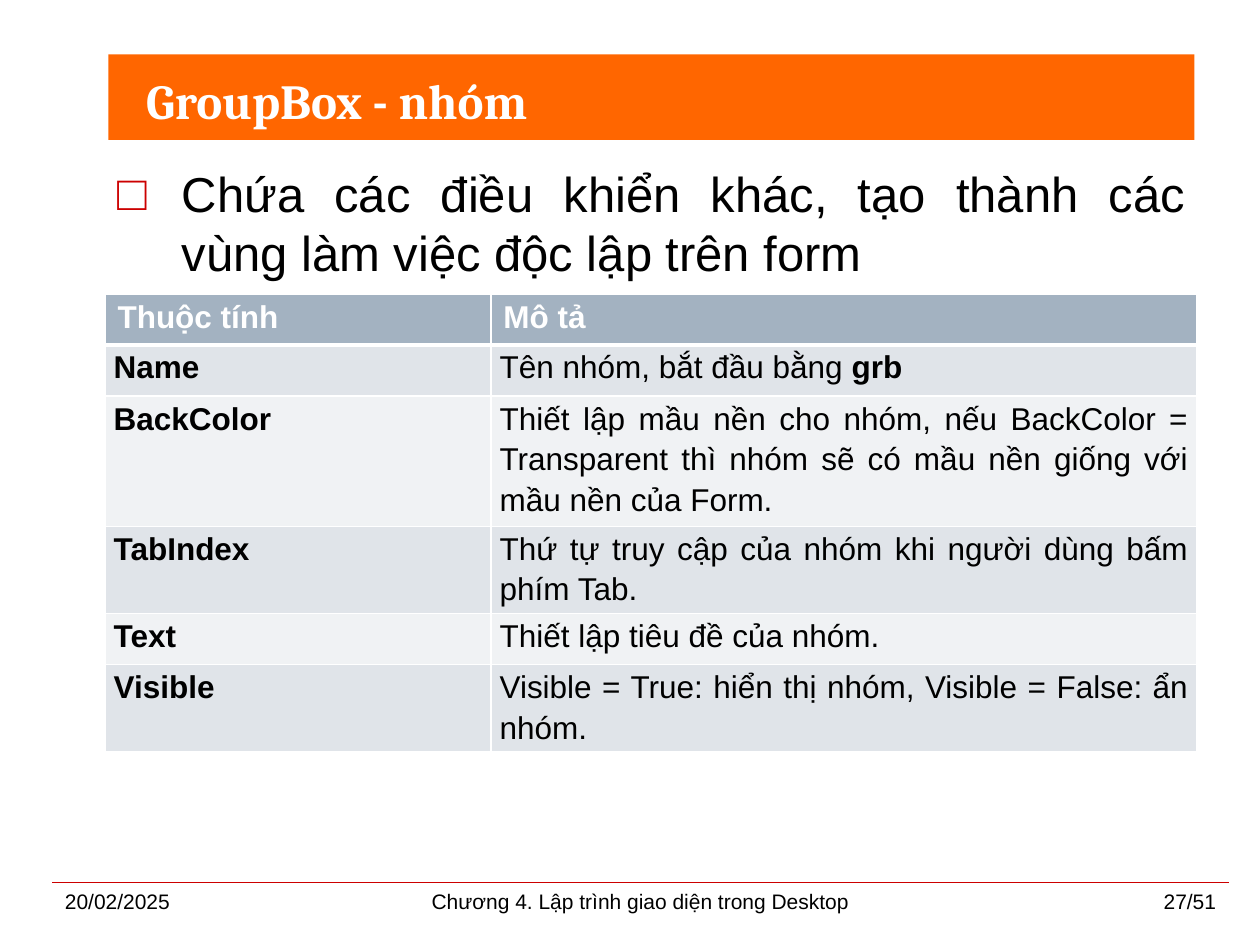
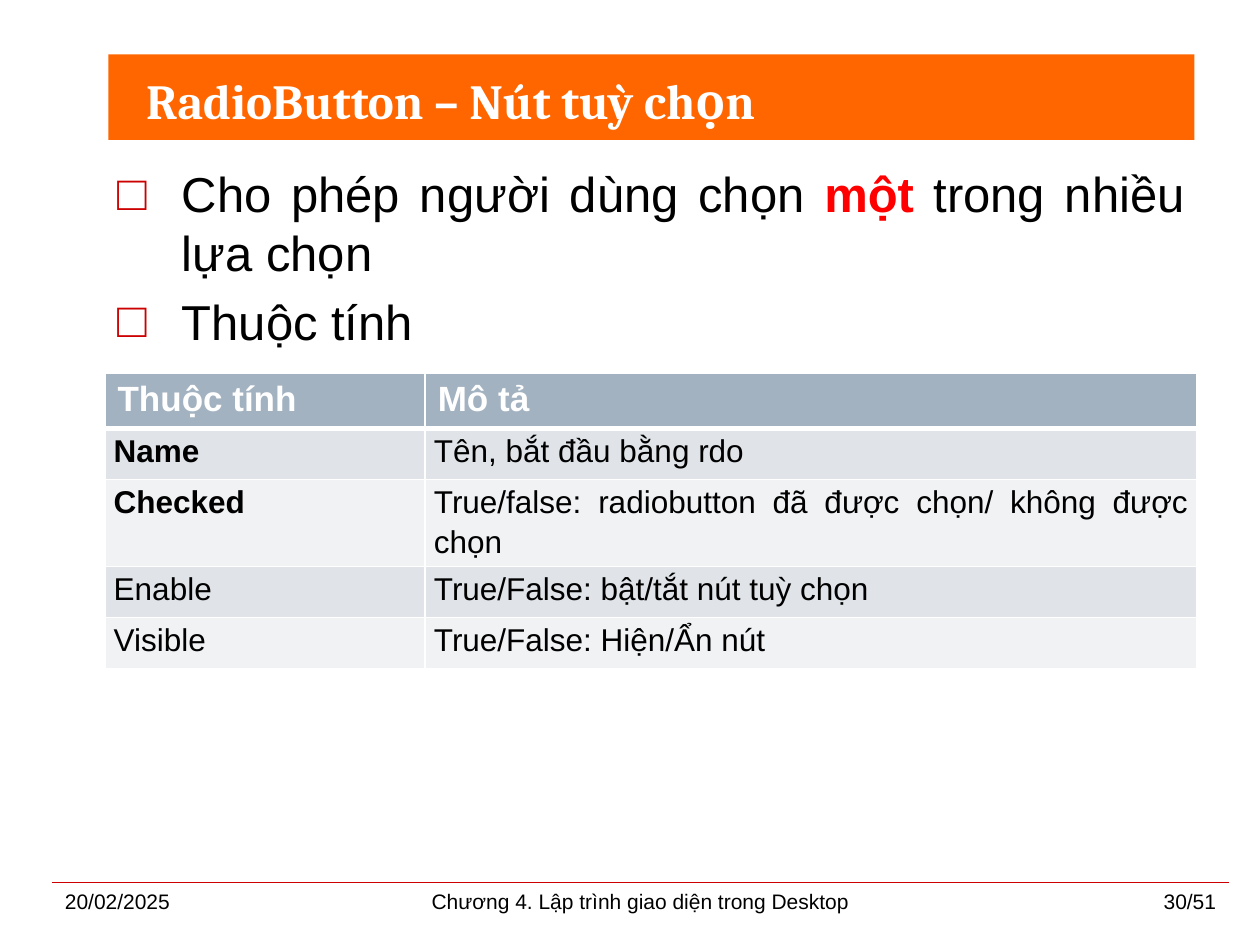
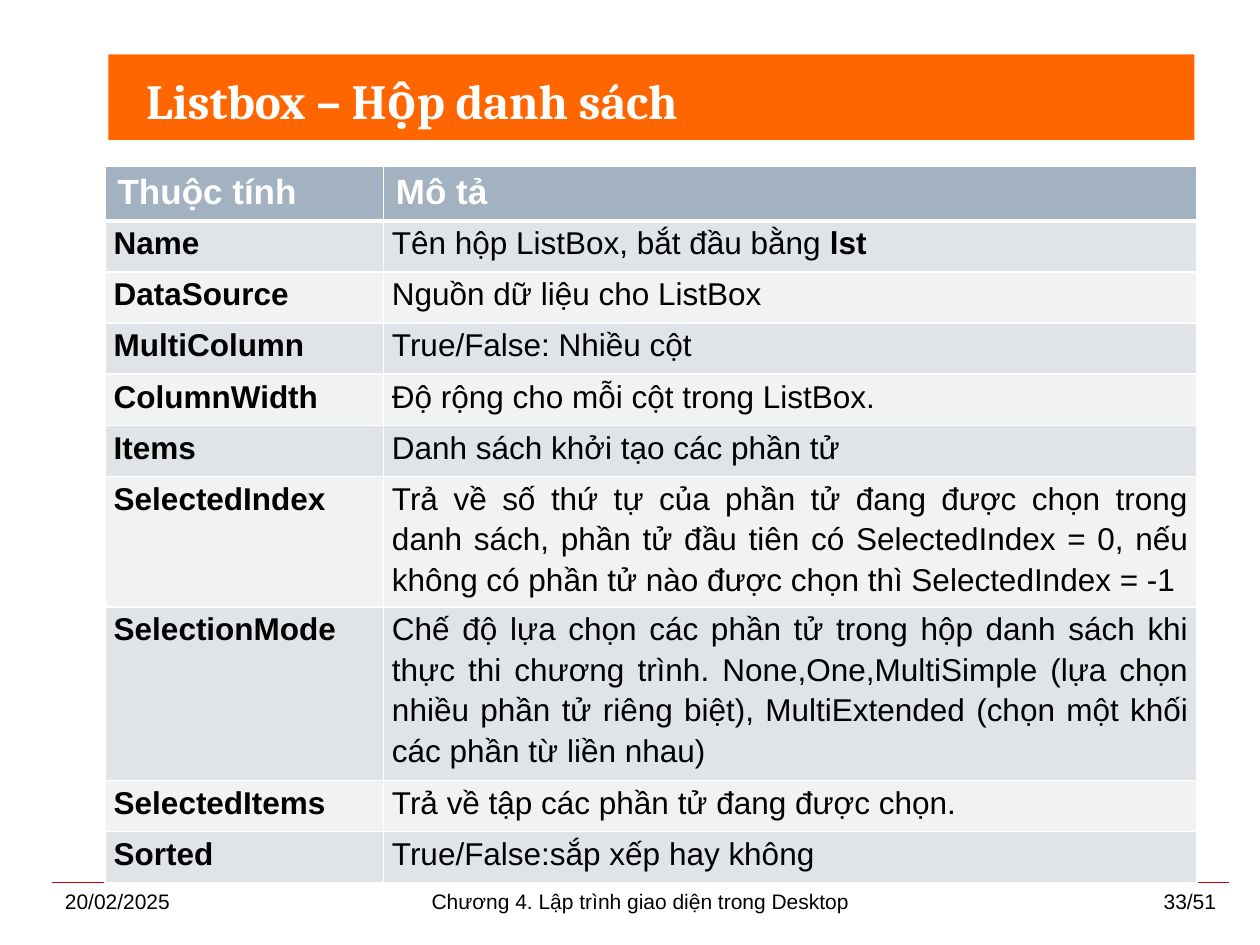
from lxml import etree
from pptx import Presentation
from pptx.dml.color import RGBColor
from pptx.enum.shapes import MSO_CONNECTOR, MSO_SHAPE
from pptx.enum.text import MSO_ANCHOR, PP_ALIGN
from pptx.oxml.ns import qn
from pptx.util import Pt

LEFT, CENTER, RIGHT = PP_ALIGN.LEFT, PP_ALIGN.CENTER, PP_ALIGN.RIGHT
JUSTIFY = PP_ALIGN.JUSTIFY
TOP, MIDDLE = MSO_ANCHOR.TOP, MSO_ANCHOR.MIDDLE
RECTANGLE, STRAIGHT = MSO_SHAPE.RECTANGLE, MSO_CONNECTOR.STRAIGHT

BLACK, WHITE, RED = "000000", "FFFFFF", "FF0000"
ORANGE, DARK_RED = "FF6600", "CC0000"
HEADER_FILL, ODD_FILL, EVEN_FILL = "A3B2C1", "E0E4E9", "F0F2F4"
BODY_FONT, TITLE_FONT = "Arial", "Cambria"

CONTENT_LEFT, CONTENT_WIDTH = 60, 624
FOOTER_LEFT, FOOTER_RIGHT, FOOTER_TOP = 30, 702, 504
ROW_HEIGHT = 29.2
BULLET_INDENT = 36.75
DATE = "20/02/2025"
CHAPTER = "Chương 4. Lập trình giao diện trong Desktop"
TABLE_HEADER = ("Thuộc tính", "Mô tả")

GROUPBOX_ROWS = [
    ("Name", [("Tên nhóm, bắt đầu bằng ", False), ("grb", True)]),
    ("BackColor", "Thiết lập mầu nền cho nhóm, nếu BackColor = Transparent "
                  "thì nhóm sẽ có mầu nền giống với mầu nền của Form."),
    ("TabIndex", "Thứ tự truy cập của nhóm khi người dùng bấm phím Tab."),
    ("Text", "Thiết lập tiêu đề của nhóm."),
    ("Visible", "Visible = True: hiển thị nhóm, Visible = False: ẩn nhóm."),
]
RADIOBUTTON_ROWS = [
    ("Name", "Tên, bắt đầu bằng rdo"),
    ("Checked", "True/false: radiobutton đã được chọn/ không được chọn"),
    ([("Enable", False)], "True/False: bật/tắt nút tuỳ chọn"),
    ([("Visible", False)], "True/False: Hiện/Ẩn nút"),
]
LISTBOX_ROWS = [
    ("Name", [("Tên hộp ListBox, bắt đầu bằng ", False), ("lst", True)]),
    ("DataSource", "Nguồn dữ liệu cho ListBox"),
    ("MultiColumn", "True/False: Nhiều cột"),
    ("ColumnWidth", "Độ rộng cho mỗi cột trong ListBox."),
    ("Items", "Danh sách khởi tạo các phần tử"),
    ("SelectedIndex", "Trả về số thứ tự của phần tử đang được chọn trong danh "
                      "sách, phần tử đầu tiên có SelectedIndex = 0, nếu không "
                      "có phần tử nào được chọn thì SelectedIndex = -1"),
    ("SelectionMode", "Chế độ lựa chọn các phần tử trong hộp danh sách khi "
                      "thực thi chương trình. None,One,MultiSimple (lựa chọn "
                      "nhiều phần tử riêng biệt), MultiExtended (chọn một "
                      "khối các phần từ liền nhau)"),
    ("SelectedItems", "Trả về tập các phần tử đang được chọn."),
    ("Sorted", "True/False:sắp xếp hay không"),
]


def rgb(value):
    return RGBColor.from_string(value)


def add_run(paragraph, text, size, color=BLACK, bold=False, font=BODY_FONT):
    run = paragraph.add_run()
    run.text = text
    run.font.name = font
    run.font.size = Pt(size)
    run.font.bold = bold
    run.font.color.rgb = rgb(color)


def add_text_frame(slide, left, top, width, height, anchor=TOP):
    box = slide.shapes.add_textbox(Pt(left), Pt(top), Pt(width), Pt(height))
    frame = box.text_frame
    frame.word_wrap = True
    frame.vertical_anchor = anchor
    return frame


def add_title(slide, title):
    band = slide.shapes.add_shape(RECTANGLE, Pt(62), Pt(31), Pt(620.5), Pt(49))
    band.shadow.inherit = False
    band.fill.solid()
    band.fill.fore_color.rgb = rgb(ORANGE)
    band.line.fill.background()
    frame = add_text_frame(slide, 76.5, 30, 590, 54, MIDDLE)
    add_run(frame.paragraphs[0], title, 28, WHITE, True, TITLE_FONT)


def add_footer(slide, page):
    rule = slide.shapes.add_connector(STRAIGHT, Pt(FOOTER_LEFT), Pt(FOOTER_TOP),
                                      Pt(FOOTER_RIGHT), Pt(FOOTER_TOP))
    rule.line.color.rgb = rgb(DARK_RED)
    rule.line.width = Pt(0.25)
    etree.SubElement(rule.element.spPr, qn("a:effectLst"))
    for left, width, text, alignment in (
        (FOOTER_LEFT, 156, DATE, LEFT),
        (210, 312, CHAPTER, CENTER),
        (FOOTER_RIGHT - 156, 156, page, RIGHT),
    ):
        paragraph = add_text_frame(slide, left, FOOTER_TOP, width, 25).paragraphs[0]
        paragraph.alignment = alignment
        add_run(paragraph, text, 12)


def set_bullet(paragraph):
    properties = paragraph._p.get_or_add_pPr()
    properties.set("marL", str(Pt(BULLET_INDENT)))
    properties.set("indent", str(-Pt(BULLET_INDENT)))
    color = etree.SubElement(properties, qn("a:buClr"))
    etree.SubElement(color, qn("a:srgbClr"), val=DARK_RED)
    etree.SubElement(properties, qn("a:buFont"), typeface=BODY_FONT)
    etree.SubElement(properties, qn("a:buChar"), char="□")


def add_bullets(slide, bullets):
    """Add bullets, each a list of (text, emphasised) runs."""
    frame = add_text_frame(slide, CONTENT_LEFT, 90, CONTENT_WIDTH, 408)
    for index, runs in enumerate(bullets):
        paragraph = frame.add_paragraph() if index else frame.paragraphs[0]
        set_bullet(paragraph)
        paragraph.alignment = JUSTIFY
        if index:
            paragraph.space_before = Pt(5.6)
        for text, emphasised in runs:
            add_run(paragraph, text, 28, RED if emphasised else BLACK, emphasised)


def set_borders(cell, top=1, bottom=1):
    properties = cell._tc.get_or_add_tcPr()
    for side, width in (("L", 1), ("R", 1), ("T", top), ("B", bottom)):
        line = etree.SubElement(properties, qn(f"a:ln{side}"), w=str(Pt(width)))
        fill = etree.SubElement(line, qn("a:solidFill"))
        etree.SubElement(fill, qn("a:srgbClr"), val=WHITE)


def fill_cell(cell, color):
    cell.fill.solid()
    cell.fill.fore_color.rgb = rgb(color)


def format_header_cell(cell, text, size):
    set_borders(cell, bottom=3)
    fill_cell(cell, HEADER_FILL)
    add_run(cell.text_frame.paragraphs[0], text, size, WHITE, True)


def format_body_cell(cell, content, row, bold):
    """Fill a cell with plain text or a list of (text, bold) runs."""
    set_borders(cell, top=3 if row == 1 else 1)
    fill_cell(cell, ODD_FILL if row % 2 else EVEN_FILL)
    cell.margin_left = cell.margin_right = Pt(5)
    cell.margin_top = cell.margin_bottom = Pt(0)
    paragraph = cell.text_frame.paragraphs[0]
    paragraph.alignment = JUSTIFY
    paragraph.line_spacing = 1.15
    paragraph.space_after = Pt(6)
    runs = [(content, bold)] if isinstance(content, str) else content
    for text, run_bold in runs:
        add_run(paragraph, text, 18, bold=run_bold)


def add_property_table(slide, top, name_width, rows, header_size=20):
    count = len(rows) + 1
    table = slide.shapes.add_table(count, 2, Pt(CONTENT_LEFT), Pt(top),
                                   Pt(CONTENT_WIDTH), Pt(ROW_HEIGHT * count)).table
    table.columns[0].width = Pt(name_width)
    table.columns[1].width = Pt(CONTENT_WIDTH - name_width)
    for table_row in table.rows:
        table_row.height = Pt(ROW_HEIGHT)
    for column, text in enumerate(TABLE_HEADER):
        format_header_cell(table.cell(0, column), text, header_size)
    for row, contents in enumerate(rows, start=1):
        for column, content in enumerate(contents):
            format_body_cell(table.cell(row, column), content, row, column == 0)


def add_content_slide(presentation, title, page):
    slide = presentation.slides.add_slide(presentation.slide_layouts[6])
    add_title(slide, title)
    add_footer(slide, page)
    return slide


def main():
    presentation = Presentation()
    presentation.slide_width = Pt(720)
    presentation.slide_height = Pt(540)

    slide = add_content_slide(presentation, "GroupBox - nhóm", "27/51")
    add_bullets(slide, [
        [("Chứa các điều khiển khác, tạo thành các vùng làm việc độc lập "
          "trên form", False)],
    ])
    add_property_table(slide, 168, 220.5, GROUPBOX_ROWS, header_size=18)

    slide = add_content_slide(presentation, "RadioButton – Nút tuỳ chọn", "30/51")
    add_bullets(slide, [
        [("Cho phép người dùng chọn ", False), ("một ", True),
         ("trong nhiều lựa chọn", False)],
        [("Thuộc tính", False)],
    ])
    add_property_table(slide, 213.5, 183, RADIOBUTTON_ROWS)

    slide = add_content_slide(presentation, "Listbox – Hộp danh sách", "33/51")
    add_property_table(slide, 95, 159, LISTBOX_ROWS)

    presentation.save("out.pptx")


if __name__ == "__main__":
    main()
